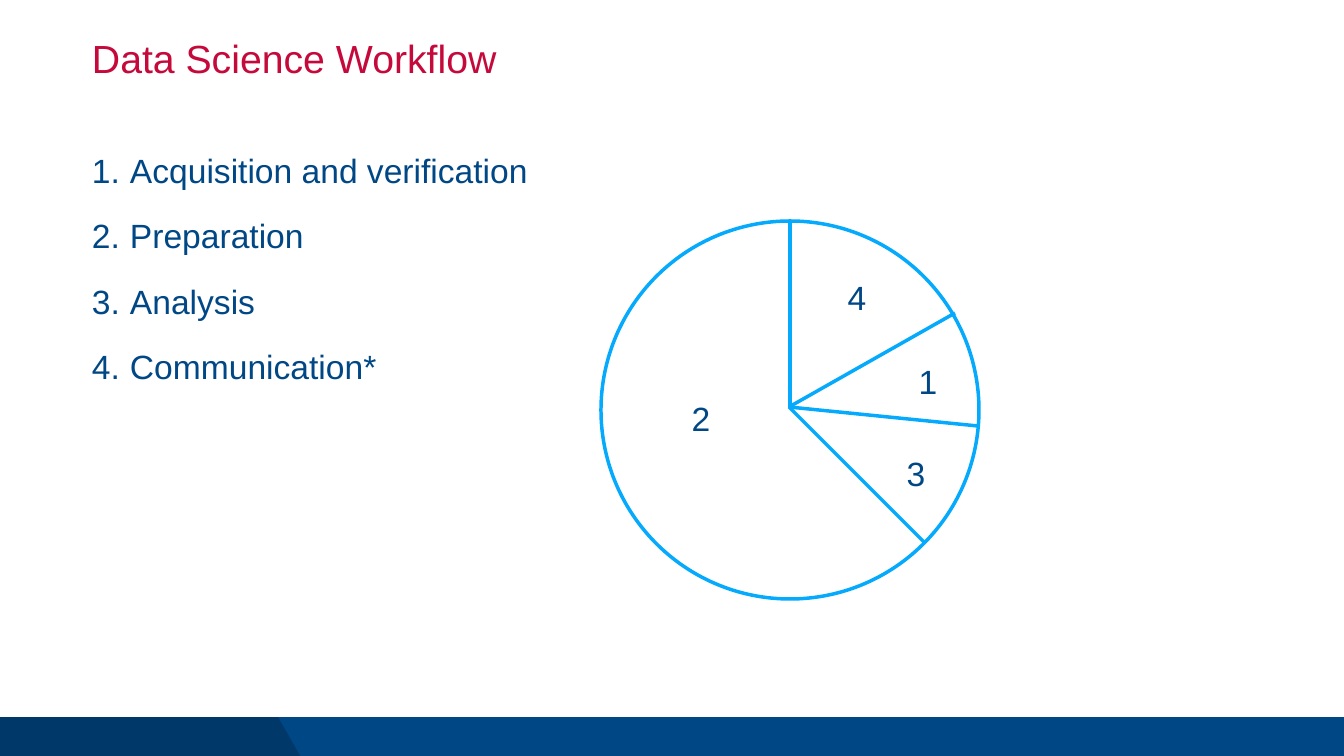
from lxml.etree import SubElement
from pptx import Presentation
from pptx.dml.color import RGBColor
from pptx.enum.shapes import MSO_CONNECTOR, MSO_SHAPE
from pptx.enum.text import MSO_ANCHOR, MSO_AUTO_SIZE, PP_ALIGN
from pptx.oxml.ns import qn
from pptx.util import Pt

PX = 18143  # EMU per px
WIDTH, HEIGHT = 1344, 756
FONT = "Arial"
COLORS = {"navy": "004785", "shade": "000000", "title": "C5093B", "pie": "06AAFC"}

TITLE = "Data Science Workflow"
STEPS = ["Acquisition and verification", "Preparation", "Analysis", "Communication*"]
PIE = (601, 221, 378, 378)
# Each spoke runs from near the centre to the rim
SPOKES = [
    ((790, 222), (790, 408)),
    ((789, 407), (925, 543)),
    ((789, 407), (955, 313)),
    ((789, 407), (978, 426)),
]
# Step number and the centre of its label
LABELS = [("2", 700, 416), ("4", 856, 295), ("3", 915, 471), ("1", 927, 379)]
LABEL_SIZE = (22, 42)
BAND_TOP, BAND_HEIGHT = 717, 42
TAB_TOP_WIDTH, TAB_WIDTH = 278, 302


def emu(*lengths):
    return [length * PX for length in lengths]


def color(name):
    return RGBColor.from_string(COLORS[name])


def paint(shape, name):
    shape.shadow.inherit = False
    shape.fill.solid()
    shape.fill.fore_color.rgb = color(name)
    shape.line.fill.background()


def outline(shape):
    shape.line.color.rgb = color("pie")
    shape.line.width = Pt(5)


def add_text(page, box, lines, size, color_name, inset=0):
    frame = page.shapes.add_textbox(*emu(*box)).text_frame
    frame.word_wrap = True
    frame.vertical_anchor = MSO_ANCHOR.TOP
    frame.margin_left = frame.margin_right = Pt(inset)
    frame.margin_top = frame.margin_bottom = Pt(inset)
    frame.text = "\n".join(lines)
    for para in frame.paragraphs:
        para.font.name = FONT
        para.font.size = Pt(size)
        para.font.color.rgb = color(color_name)
    return frame


def number(para, indent):
    """Give the paragraph an automatic number with a hanging indent."""
    props = para._p.get_or_add_pPr()
    props.set("marL", str(indent * PX))
    props.set("indent", str(-indent * PX))
    bullet = props.makeelement(qn("a:buAutoNum"), {"type": "arabicPeriod"})
    props.insert_element_before(bullet, "a:tabLst", "a:defRPr", "a:extLst")


def add_footer(page):
    band = page.shapes.add_shape(
        MSO_SHAPE.RECTANGLE, *emu(0, BAND_TOP, WIDTH, BAND_HEIGHT))
    paint(band, "navy")
    bottom = BAND_TOP + BAND_HEIGHT
    outline_builder = page.shapes.build_freeform(0, BAND_TOP, scale=PX)
    outline_builder.add_line_segments(
        [(TAB_TOP_WIDTH, BAND_TOP), (TAB_WIDTH, bottom), (0, bottom)])
    tab = outline_builder.convert_to_shape()
    paint(tab, "shade")
    fill = tab._element.spPr.find(qn("a:solidFill"))
    SubElement(fill[0], qn("a:alpha"), val="20000")


def add_pie(page):
    circle = page.shapes.add_shape(MSO_SHAPE.OVAL, *emu(*PIE))
    circle.shadow.inherit = False
    circle.fill.background()
    outline(circle)
    for start, end in SPOKES:
        spoke = page.shapes.add_connector(
            MSO_CONNECTOR.STRAIGHT, *emu(*start, *end))
        outline(spoke)
        SubElement(spoke._element.spPr, qn("a:effectLst"))
    width, height = LABEL_SIZE
    for text, x, y in LABELS:
        box = (x - width // 2, y - height // 2, width, height)
        frame = add_text(page, box, [text], 48, "navy", inset=3.6)
        frame.word_wrap = False
        frame.auto_size = MSO_AUTO_SIZE.SHAPE_TO_FIT_TEXT
        frame.paragraphs[0].alignment = PP_ALIGN.CENTER


def main():
    deck = Presentation()
    deck.slide_width, deck.slide_height = emu(WIDTH, HEIGHT)
    page = deck.slides.add_slide(deck.slide_layouts[6])
    add_footer(page)
    steps = add_text(page, (92, 146, 573, 540), STEPS, 48, "navy")
    for para in steps.paragraphs:
        para.line_spacing = 1.1
        para.space_before = Pt(30)
        number(para, 38)
    title = add_text(page, (92, 40, 1159, 53), [TITLE], 56, "title")
    title.paragraphs[0].line_spacing = 0.9
    add_pie(page)
    deck.save("out.pptx")


if __name__ == "__main__":
    main()
